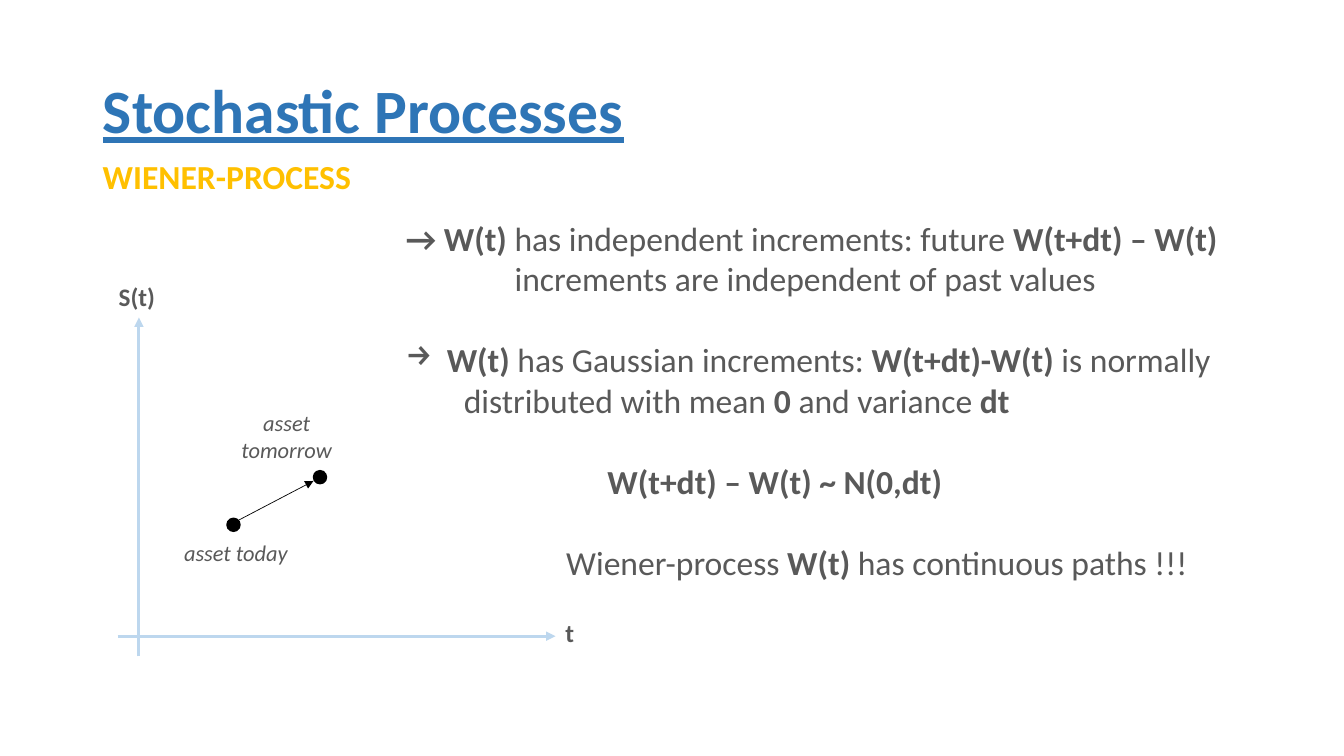
from lxml import etree
from pptx import Presentation
from pptx.dml.color import RGBColor
from pptx.enum.shapes import MSO_CONNECTOR, MSO_SHAPE
from pptx.enum.text import MSO_ANCHOR, MSO_AUTO_SIZE, PP_ALIGN
from pptx.oxml.ns import qn
from pptx.util import Cm, Pt

STRAIGHT = MSO_CONNECTOR.STRAIGHT
OVAL = MSO_SHAPE.OVAL
MIDDLE = MSO_ANCHOR.MIDDLE
NO_AUTOSIZE = MSO_AUTO_SIZE.NONE
LEFT, CENTER = PP_ALIGN.LEFT, PP_ALIGN.CENTER

BLUE = RGBColor(0x2E, 0x75, 0xB6)
LIGHT_BLUE = RGBColor(0xBD, 0xD7, 0xEE)
GOLD = RGBColor(0xFF, 0xC0, 0x00)
GRAY = RGBColor(0x59, 0x59, 0x59)
BLACK = RGBColor(0x00, 0x00, 0x00)
FONT = "Calibri"
TITLE_ONLY = 5
DOT_SIZE = 0.33


class SlideBuilder:
    def __init__(self, presentation):
        self.slide = presentation.slides.add_slide(
            presentation.slide_layouts[TITLE_ONLY])

    def run(self, paragraph, text, size, color=GRAY, bold=False, italic=False):
        run = paragraph.add_run()
        run.text = text
        font = run.font
        font.name, font.size, font.bold, font.italic = FONT, Pt(size), bold, italic
        font.color.rgb = color
        return run

    def title(self, text, left, top, width, height):
        shape = self.slide.shapes.title
        shape.left, shape.top = Cm(left), Cm(top)
        shape.width, shape.height = Cm(width), Cm(height)
        frame = shape.text_frame
        frame.auto_size = NO_AUTOSIZE
        frame.vertical_anchor = MIDDLE
        paragraph = frame.paragraphs[0]
        paragraph.alignment = LEFT
        paragraph.line_spacing = 0.9
        self.run(paragraph, text, 44, BLUE, bold=True).font.underline = True

    def text_frame(self, left, top, width, height):
        box = self.slide.shapes.add_textbox(Cm(left), Cm(top), Cm(width), Cm(height))
        box.text_frame.word_wrap = True
        return box.text_frame

    def label(self, lines, left, top, width, height, size, align=LEFT, **style):
        frame = self.text_frame(left, top, width, height)
        for index, line in enumerate(lines):
            paragraph = frame.add_paragraph() if index else frame.paragraphs[0]
            paragraph.alignment = align
            self.run(paragraph, line, size, **style)

    def rich_text(self, paragraphs, left, top, width, height, size=24):
        """Each paragraph: (left margin, space before, bullet, [(text, bold)])."""
        frame = self.text_frame(left, top, width, height)
        for index, (margin, space, bullet, runs) in enumerate(paragraphs):
            paragraph = frame.add_paragraph() if index else frame.paragraphs[0]
            paragraph.space_before = Pt(space)
            properties = paragraph._p.get_or_add_pPr()
            properties.set("marL", str(Cm(margin)))
            properties.set("indent", str(-Cm(margin) if bullet else 0))
            if bullet:
                etree.SubElement(properties, qn("a:buChar")).set("char", bullet)
            for text, bold in runs:
                self.run(paragraph, text, size, bold=bold)

    def arrow(self, start, end, color, width):
        x1, y1, x2, y2 = (Cm(value) for value in (*start, *end))
        connector = self.slide.shapes.add_connector(STRAIGHT, x1, y1, x2, y2)
        connector.line.color.rgb = color
        connector.line.width = Pt(width)
        properties = connector._element.spPr
        line = properties.find(qn("a:ln"))
        etree.SubElement(line, qn("a:tailEnd")).set("type", "triangle")
        etree.SubElement(properties, qn("a:effectLst"))

    def dot(self, left, top):
        shape = self.slide.shapes.add_shape(
            OVAL, Cm(left), Cm(top), Cm(DOT_SIZE), Cm(DOT_SIZE))
        shape.shadow.inherit = False
        shape.fill.solid()
        shape.fill.fore_color.rgb = BLACK
        shape.line.color.rgb = BLACK
        shape.line.width = Pt(1)


def main():
    presentation = Presentation()
    presentation.slide_width, presentation.slide_height = Cm(33.87), Cm(19.05)
    builder = SlideBuilder(presentation)

    # Headings
    builder.title("Stochastic Processes", 2.34, 1.02, 29.21, 3.68)
    builder.label(["WIENER-PROCESS"], 2.34, 3.81, 7.2, 1.27, 24, color=GOLD, bold=True)

    # Axes
    builder.arrow((3.5, 16.54), (3.5, 8), LIGHT_BLUE, 2.25)
    builder.arrow((2.97, 16.03), (14, 16.03), LIGHT_BLUE, 2.25)
    builder.label(["t"], 14, 15.44, 0.9, 1.02, 18, bold=True)
    builder.label(["S(t)"], 2.74, 6.96, 1.7, 1.02, 18, bold=True)

    # Asset step from today to tomorrow
    builder.dot(5.72, 13.06)
    builder.dot(7.9, 11.86)
    builder.label(["asset today"], 4.17, 13.46, 3.55, 0.94, 16, CENTER, italic=True)
    builder.label(["asset", "tomorrow"], 5.59, 10.19, 3.27, 1.63, 16, CENTER, italic=True)
    builder.arrow((5.97, 13.13), (7.9, 12.12), BLACK, 0.5)

    # Properties of the process
    gap = 29.3
    builder.rich_text([
        (0, 0, None, [("→ W(t)", True),
                      (" has independent increments: future ", False),
                      ("W(t+dt) – W(t)", True)]),
        (2.74, 0, None, [("increments are independent of past values", False)]),
        (1.03, gap, "→", [("W(t) ", True), ("has Gaussian increments: ", False),
                          ("W(t+dt)-W(t) ", True), ("is normally", False)]),
        (1.46, 0, None, [("distributed with mean ", False), ("0", True),
                         (" and variance ", False), ("dt", True)]),
        (5.08, gap, None, [("W(t+dt) – W(t) ~ N(0,dt)", True)]),
    ], 9.98, 5.36, 21.6, 9.5)
    builder.rich_text([
        (0, 0, None, [("Wiener-process ", False), ("W(t) ", True),
                      ("has continuous paths !!!", False)]),
    ], 14.02, 13.54, 16.8, 1.27)

    presentation.save("out.pptx")


if __name__ == "__main__":
    main()
